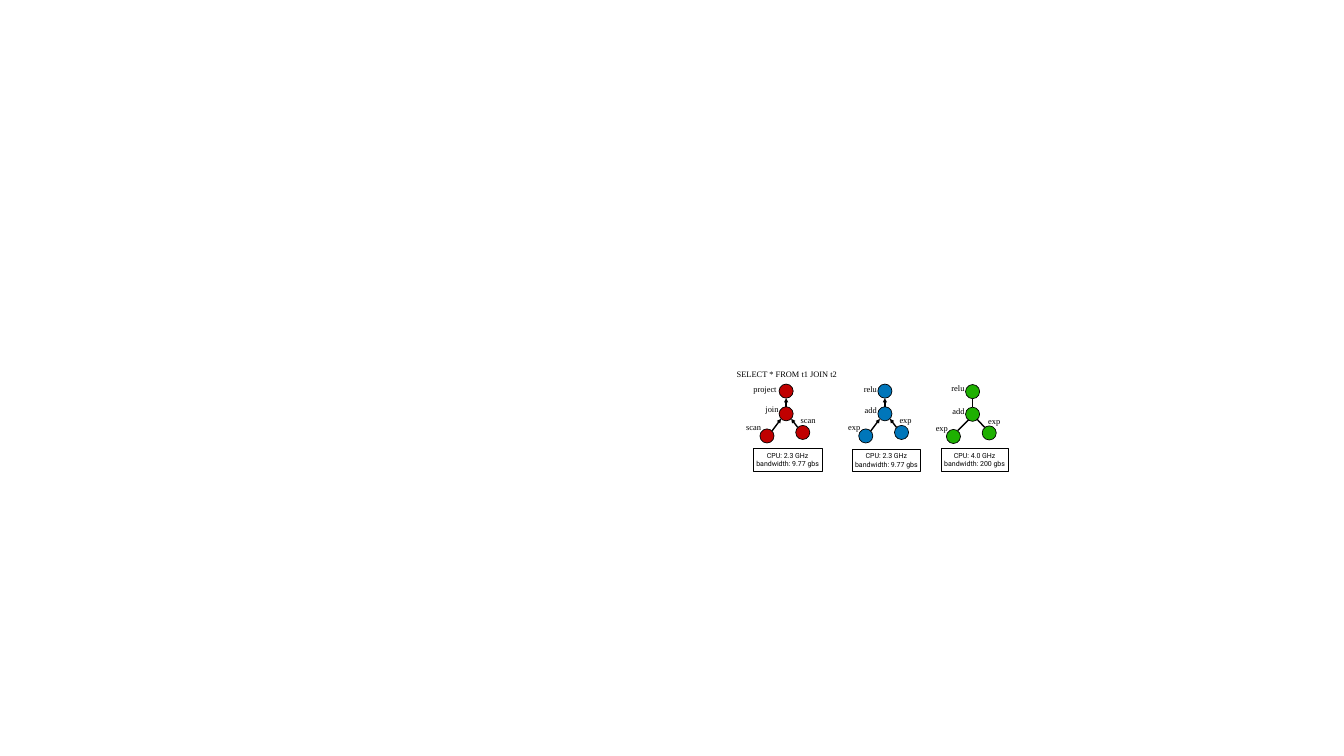
import pptx
import pptx.util
import pptx.dml.color
import pptx.enum.shapes
import pptx.enum.text
import pptx.oxml.ns
import lxml.etree

PX = 9144  # EMU in one px, at 100 px to the inch

THEME = {
    "ink": pptx.dml.color.RGBColor.from_string("000000"),
    "red": pptx.dml.color.RGBColor.from_string("C00000"),
    "blue": pptx.dml.color.RGBColor.from_string("0076BA"),
    "green": pptx.dml.color.RGBColor.from_string("1EB001"),
    "label": {"name": "Times New Roman", "size": pptx.util.Pt(12)},
    "machine": {"name": "Roboto", "size": pptx.util.Pt(10)},
    "outline": pptx.util.Pt(1),
    "edge": pptx.util.Pt(2),
}
FRAME = {
    "margin_left": 5 * PX,
    "margin_right": 5 * PX,
    "margin_top": 5 * PX,
    "margin_bottom": 5 * PX,
    "vertical_anchor": pptx.enum.text.MSO_ANCHOR.MIDDLE,
    "auto_size": pptx.enum.text.MSO_AUTO_SIZE.SHAPE_TO_FIT_TEXT,
}
NODE_SIZE = 28
LABEL_HEIGHT = 31
LABEL_WIDTHS = {"project": 58, "join": 38, "scan": 41, "relu": 38, "add": 36, "exp": 36}

# Offsets from the top left of the root: root, middle, left leaf, right leaf
NODE_OFFSETS = [(0, 0), (0, 45), (-38, 89), (33, 82)]
STEM = (14, 45, 14, 28)
ARROW_EDGES = [STEM, (-14, 93, 4, 69), (37, 86, 24, 69)]
PLAIN_EDGES = [STEM, (-15, 91, 6, 70), (38, 85, 23, 69)]

TREES = [
    {"root": (1546, 762), "color": "red", "edges": ARROW_EDGES, "arrows": True,
     "labels": [("project", -57, -5), ("join", -33, 35), ("scan", -71, 71), ("scan", 37, 57)],
     "machine": (1495, 890, 136), "specs": ["CPU: 2.3 GHz", "bandwidth: 9.77 gbs"]},
    {"root": (1742, 762), "color": "blue", "edges": ARROW_EDGES, "arrows": True,
     "labels": [("relu", -34, -5), ("add", -32, 36), ("exp", -65, 70), ("exp", 37, 56)],
     "machine": (1691, 891, 136), "specs": ["CPU: 2.3 GHz", "bandwidth: 9.77 gbs"]},
    {"root": (1916, 763), "color": "green", "edges": PLAIN_EDGES, "arrows": False,
     "labels": [("relu", -34, -8), ("add", -32, 37), ("exp", -65, 71), ("exp", 39, 58)],
     "machine": (1868, 890, 132), "specs": ["CPU: 4.0 GHz", "bandwidth: 200 gbs"]},
]


def write_lines(box, lines, font, wrap=False):
    """Fill a box with centred paragraphs in one of the theme's fonts."""
    frame = box.text_frame
    for name, value in FRAME.items():
        setattr(frame, name, value)
    frame.word_wrap = wrap
    for index, line in enumerate(lines):
        para = frame.add_paragraph() if index else frame.paragraphs[0]
        para.alignment = pptx.enum.text.PP_ALIGN.CENTER
        span = para.add_run()
        span.text = line
        for name, value in THEME[font].items():
            setattr(span.font, name, value)
        span.font.color.rgb = THEME["ink"]


def add_outlined(page, kind, left, top, width, height, color=None):
    shape = page.shapes.add_shape(kind, left * PX, top * PX, width * PX, height * PX)
    shape.shadow.inherit = False
    if color:
        shape.fill.solid()
        shape.fill.fore_color.rgb = THEME[color]
    else:
        shape.fill.background()
    shape.line.color.rgb = THEME["ink"]
    shape.line.width = THEME["outline"]
    return shape


deck = pptx.Presentation()
deck.slide_width = 2667 * PX
deck.slide_height = 1500 * PX
page = deck.slides.add_slide(deck.slide_layouts[6])

for tree in TREES:
    root_left, root_top = tree["root"]

    left, top, width = tree["machine"]
    machine = add_outlined(page, pptx.enum.shapes.MSO_SHAPE.RECTANGLE, left, top, width, 45)
    write_lines(machine, tree["specs"], "machine")

    for x, y in NODE_OFFSETS:
        add_outlined(page, pptx.enum.shapes.MSO_SHAPE.OVAL, root_left + x, root_top + y,
                     NODE_SIZE, NODE_SIZE, tree["color"])

    for text, x, y in tree["labels"]:
        label = page.shapes.add_textbox((root_left + x) * PX, (root_top + y) * PX,
                                        LABEL_WIDTHS[text] * PX, LABEL_HEIGHT * PX)
        write_lines(label, [text], "label")

    for from_x, from_y, to_x, to_y in tree["edges"]:
        edge = page.shapes.add_connector(
            pptx.enum.shapes.MSO_CONNECTOR.STRAIGHT,
            (root_left + from_x) * PX, (root_top + from_y) * PX,
            (root_left + to_x) * PX, (root_top + to_y) * PX)
        edge.line.color.rgb = THEME["ink"]
        edge.line.width = THEME["edge"]
        properties = edge._element.spPr
        lxml.etree.SubElement(properties, pptx.oxml.ns.qn("a:effectLst"))
        if tree["arrows"]:
            line = properties.find(pptx.oxml.ns.qn("a:ln"))
            lxml.etree.SubElement(line, pptx.oxml.ns.qn("a:tailEnd"), type="triangle")

query = page.shapes.add_textbox(1451 * PX, 726 * PX, 221 * PX, LABEL_HEIGHT * PX)
write_lines(query, ["SELECT * FROM t1 JOIN t2"], "label", wrap=True)

deck.save("out.pptx")
